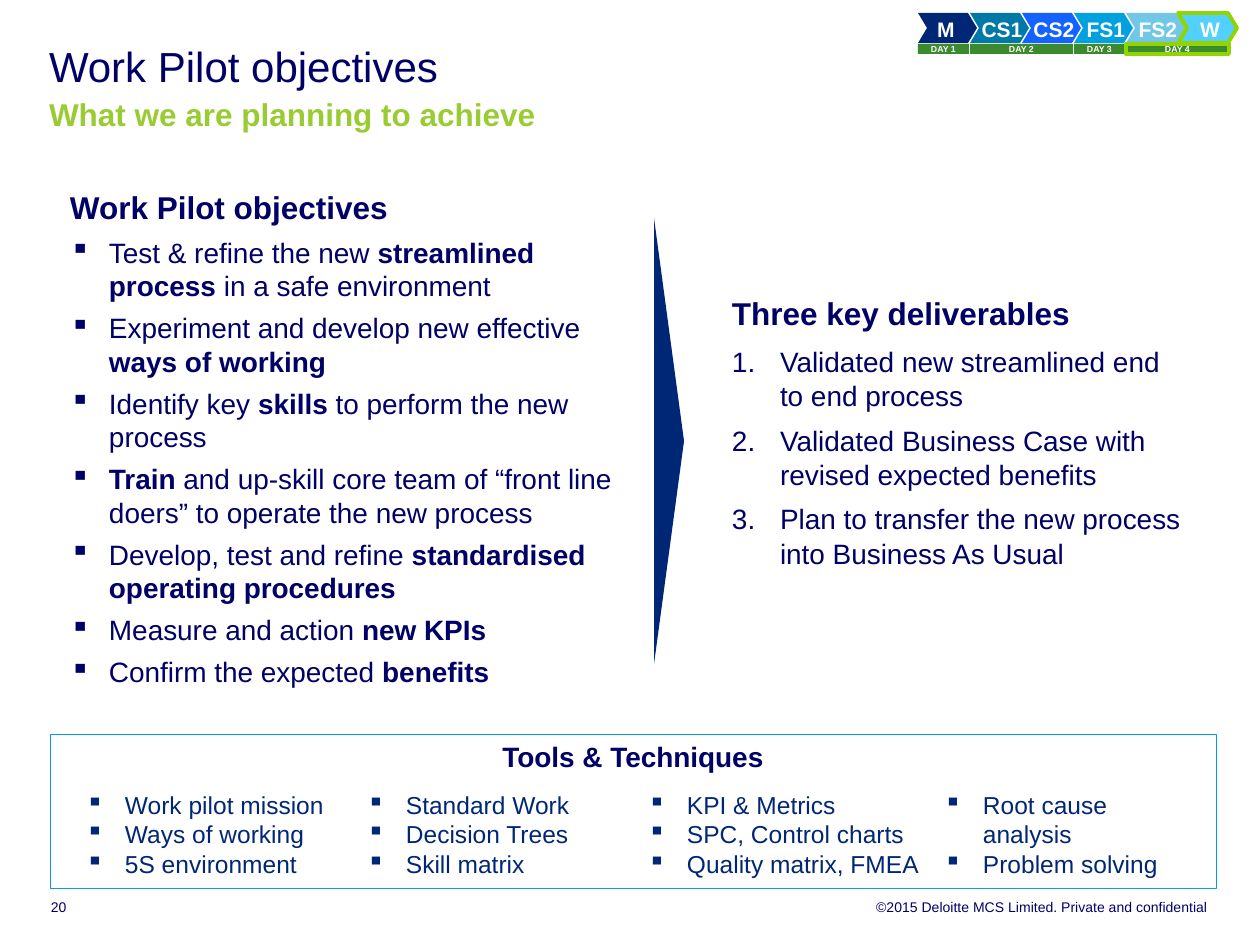
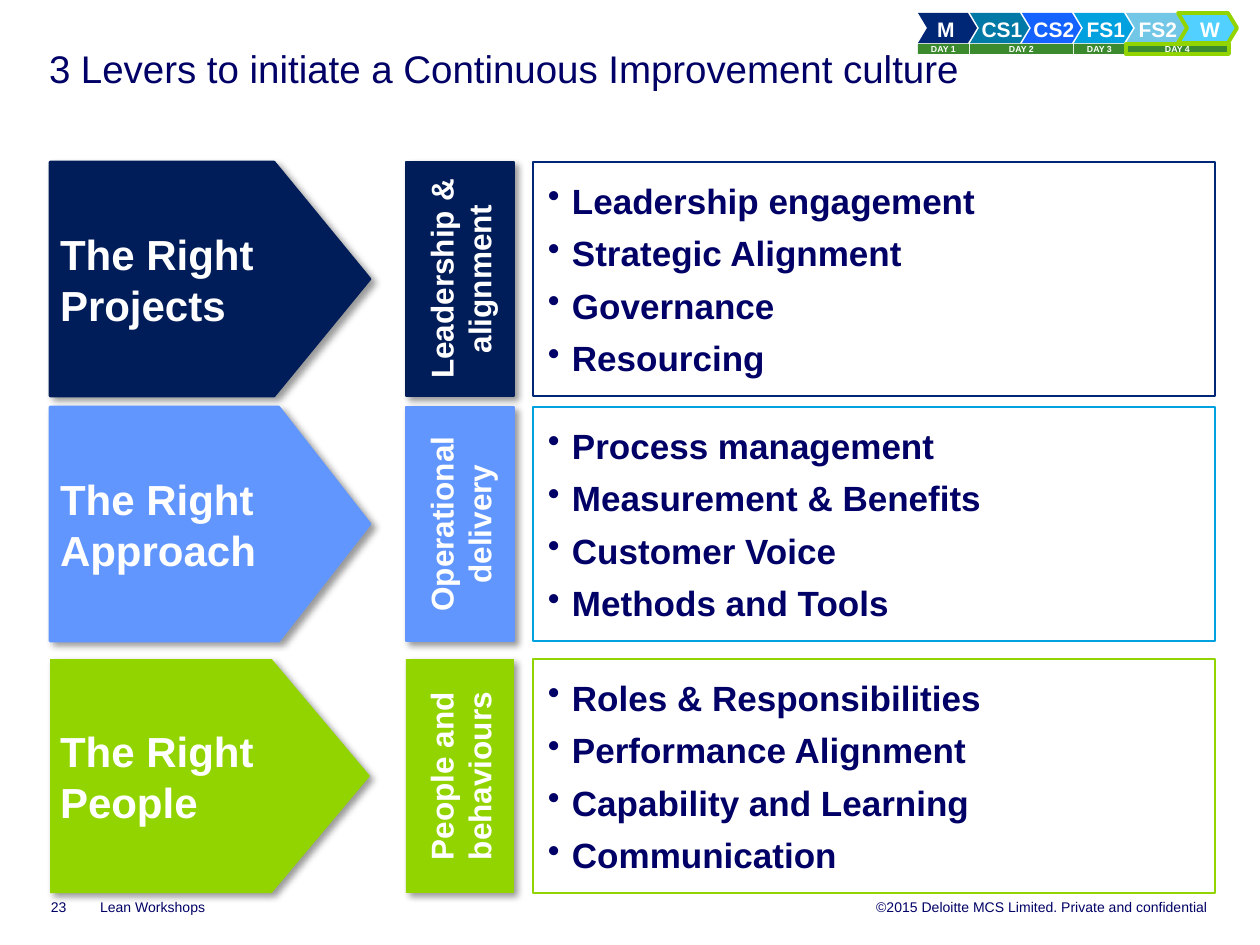
from dataclasses import dataclass

from lxml.etree import SubElement
from pptx import Presentation
from pptx.dml.color import RGBColor
from pptx.enum.shapes import MSO_SHAPE as Shape
from pptx.enum.text import MSO_ANCHOR as Anchor, MSO_AUTO_SIZE as AutoSize, PP_ALIGN as Align
from pptx.oxml.ns import qn
from pptx.util import Emu, Pt

PX_PER_INCH = 126
TITLE_ONLY = 5


@dataclass(frozen=True)
class Theme:
    font: str = "Arial"
    text: str = "000066"
    navy: str = "002776"
    deep_navy: str = "001D59"
    teal: str = "0079A6"
    royal: str = "1462FF"
    cyan: str = "00A1DE"
    pale_blue: str = "72C7E7"
    sky: str = "52D0FF"
    periwinkle: str = "6296FF"
    lime: str = "92D400"
    subtitle: str = "99CC33"
    green: str = "3C8A2E"
    white: str = "FFFFFF"
    title_size: int = 24
    long_title_size: int = 22
    heading_size: int = 18
    body_size: int = 16
    tool_size: int = 14
    lever_size: int = 20
    step_size: int = 12
    footer_size: int = 8
    day_size: int = 5


THEME = Theme()


def px(length):
    return Emu(round(length * 914400 / PX_PER_INCH))


def rgb(colour):
    return RGBColor.from_string(colour)


def add_span(para, text, size, colour, bold=False):
    span = para.add_run()
    span.text = text
    font = span.font
    font.name, font.size, font.bold = THEME.font, Pt(size), bold
    font.color.rgb = rgb(colour)


def set_bullet(para, bullet, indent):
    """Give a hanging bullet; "1." asks for automatic numbers."""
    props = para._p.get_or_add_pPr()
    props.set("marL", str(px(indent)))
    props.set("indent", str(-px(indent)))
    if bullet == "1.":
        SubElement(props, qn("a:buAutoNum"), type="arabicPeriod")
    else:
        SubElement(props, qn("a:buChar"), char=bullet)


def set_frame(frame, insets=(13, 6, 13, 6), anchor=Anchor.TOP, wrap=True):
    frame.word_wrap = wrap
    frame.auto_size = AutoSize.NONE
    frame.vertical_anchor = anchor
    (frame.margin_left, frame.margin_top,
     frame.margin_right, frame.margin_bottom) = map(px, insets)


def write(frame, lines, size, colour=THEME.text, bold=False, align=Align.LEFT,
          bullet=None, indent=0, before=0, after=0, spacing=None):
    """Add one paragraph per line; parts between asterisks turn bold."""
    for line in lines:
        is_first = not frame.paragraphs[0].runs
        para = frame.paragraphs[0] if is_first else frame.add_paragraph()
        para.alignment = align
        para.space_before = Pt(0 if is_first else before)
        para.space_after = Pt(after)
        if spacing:
            para.line_spacing = spacing
        if bullet:
            set_bullet(para, bullet, indent)
        for index, part in enumerate(line.split("*")):
            if part:
                add_span(para, part, size, colour, bold or index % 2 == 1)


def add_box(page, area, kind=Shape.RECTANGLE, fill=None, line=None, width=1, adjust=None):
    box = page.shapes.add_shape(kind, *map(px, area))
    box.shadow.inherit = False
    if adjust is not None:
        box.adjustments[0] = adjust
    if fill:
        box.fill.solid()
        box.fill.fore_color.rgb = rgb(fill)
    else:
        box.fill.background()
    if line:
        box.line.color.rgb = rgb(line)
        box.line.width = Pt(width)
    else:
        box.line.fill.background()
    return box


def add_label(page, area, insets=(0, 0, 0, 0), anchor=Anchor.TOP):
    frame = page.shapes.add_textbox(*map(px, area)).text_frame
    set_frame(frame, insets, anchor)
    return frame


def cast_shadow(box):
    effects = box._element.spPr.find(qn("a:effectLst"))
    shadow = SubElement(effects, qn("a:outerShdw"), blurRad=str(Pt(4)), dist=str(Pt(3)),
                        dir="2700000", algn="tl", rotWithShape="0")
    colour = SubElement(shadow, qn("a:srgbClr"), val="000000")
    SubElement(colour, qn("a:alpha"), val="40000")


def add_day_tracker(page, left, top):
    """Draw the workshop steps and, below them, the days they fill."""
    pitch, height = 52, 30
    steps = [("M", THEME.navy), ("CS1", THEME.teal), ("CS2", THEME.royal),
             ("FS1", THEME.cyan), ("FS2", THEME.pale_blue), ("W", THEME.sky)]
    for index, (name, fill) in enumerate(steps):
        is_first, is_current = index == 0, index == len(steps) - 1
        step = add_box(page, (left + index * pitch, top, 59, height), Shape.CHEVRON, fill,
                       THEME.lime if is_current else None, 2.25, 0.3)
        set_frame(step.text_frame, (10, 8, 0, 8) if is_first else (25, 8, 20, 8),
                  Anchor.MIDDLE, wrap=False)
        write(step.text_frame, [name], THEME.step_size, THEME.white, True,
              Align.LEFT if is_first else Align.CENTER, spacing=1.1)

    start, day_spans = left, [1, 2, 1, 2]
    for number, span in enumerate(day_spans, 1):
        day = add_box(page, (start, top + height + 1, span * pitch - 1, 10), fill=THEME.green,
                      line=THEME.lime if number == len(day_spans) else None, width=2.25)
        set_frame(day.text_frame, (5, 0, 5, 0))
        write(day.text_frame, [f"DAY {number}"], THEME.day_size, THEME.white, True, Align.CENTER)
        start += span * pitch


def add_footer(page, number, section=None):
    top, height = 898, 17
    write(add_label(page, (428, top, 780, height)),
          ["©2015 Deloitte MCS Limited. Private and confidential"],
          THEME.footer_size, align=Align.RIGHT)
    for left, width, text in [(51, 40, number), (100, 722, section)]:
        if text:
            write(add_label(page, (left, top, width, height), anchor=Anchor.BOTTOM),
                  [text], THEME.footer_size)


def add_page(deck, title, size, number, subtitle=None, section=None):
    page = deck.slides.add_slide(deck.slide_layouts[TITLE_ONLY])
    add_day_tracker(page, 918, 13)
    holder = page.shapes.title
    holder.left, holder.top, holder.width, holder.height = map(px, (49, 49, 1157, 86))
    set_frame(holder.text_frame, (0, 0, 0, 0))
    write(holder.text_frame, [title], size, spacing=Pt(24))
    if subtitle:
        para = holder.text_frame.paragraphs[0]
        para.add_line_break()
        add_span(para, subtitle, THEME.heading_size, THEME.subtitle, True)
    add_footer(page, number, section)
    return page


def add_objectives(page, area):
    frame = add_box(page, area, fill=THEME.white).text_frame
    set_frame(frame, (20, 10, 10, 10))
    write(frame, ["Work Pilot objectives"], THEME.heading_size, bold=True, after=5.4)
    write(frame, [
        "Test & refine the new *streamlined process *in a safe environment",
        "Experiment and develop new effective *ways of working*",
        "Identify key *skills* to perform the new process",
        "*Train* and up-skill core team of “front line doers” to operate the new process",
        "Develop, test and refine *standardised operating procedures*",
        "Measure and action *new KPIs*",
        "Confirm the expected *benefits*",
    ], THEME.body_size, bullet="▪", indent=39, after=4.8)


def add_deliverables(page, area):
    frame = add_box(page, area, fill=THEME.white).text_frame
    set_frame(frame, (10, 10, 10, 38), Anchor.MIDDLE)
    write(frame, ["Three key deliverables"], THEME.heading_size, bold=True,
          after=6.7, spacing=1.02)
    write(frame, [
        "Validated new streamlined end to end process",
        "Validated Business Case with revised expected benefits",
        "Plan to transfer the new process into Business As Usual",
    ], THEME.body_size, bullet="1.", indent=48, after=5.9, spacing=1.02)


def add_tools(page, area):
    left, top = area[:2]
    frame = add_box(page, area, fill=THEME.white, line=THEME.cyan, width=0.25).text_frame
    set_frame(frame, wrap=False)
    write(frame, ["Tools & Techniques"], THEME.body_size, bold=True, align=Align.CENTER)
    columns = [
        (23, 277, ["Work pilot mission", "Ways of working", "5S environment"]),
        (304, 277, ["Standard Work", "Decision Trees", "Skill matrix"]),
        (585, 300, ["KPI & Metrics", "SPC, Control charts", "Quality matrix, FMEA"]),
        (881, 277, ["Root cause analysis", "Problem solving"]),
    ]
    for offset, width, tools in columns:
        column = add_label(page, (left + offset, top + 50, width, 102), (13, 6, 13, 6))
        write(column, tools, THEME.tool_size, THEME.navy, bullet="▪", indent=39)


def add_objectives_page(deck):
    page = add_page(deck, "Work Pilot objectives", THEME.title_size, "20",
                    subtitle="What we are planning to achieve")
    add_objectives(page, (50, 178, 601, 528))
    add_deliverables(page, (722, 179, 476, 533))
    pointer = add_box(page, (446, 426, 446, 30), Shape.ISOSCELES_TRIANGLE, THEME.navy)
    pointer.rotation = 90
    add_tools(page, (50, 734, 1166, 154))


def add_lever(page, area, name, theme_name, points, fill, outline, tip):
    """Draw one row: lever arrow, upright theme and its bullet list."""
    left, top, width, height = area
    border = None if fill == outline else fill

    arrow = add_box(page, (left, top, 320, height), Shape.PENTAGON, fill, border, 1.5, tip)
    band = add_box(page, (left + 356, top, 108, height), fill=fill, line=border, width=1.5)
    for box, text, size, align in [(arrow, name, THEME.title_size, Align.LEFT),
                                   (band, theme_name, THEME.heading_size, Align.CENTER)]:
        cast_shadow(box)
        set_frame(box.text_frame, (10, 10, 10, 10), Anchor.MIDDLE)
        write(box.text_frame, [text], size, THEME.white, True, align)
    band.text_frame._txBody.bodyPr.set("vert", "vert270")

    frame = add_box(page, (left + 483, top, width - 483, height), line=outline).text_frame
    set_frame(frame, (15, 15, 15, 15), Anchor.MIDDLE)
    write(frame, points, THEME.lever_size, bold=True, bullet="•", indent=24, before=6)


def add_levers_page(deck):
    page = add_page(deck, "3 Levers to initiate a Continuous Improvement culture",
                    THEME.long_title_size, "23", section="Lean Workshops")
    levers = [
        (162, "The Right Projects", "Leadership & alignment",
         ["Leadership engagement", "Strategic Alignment", "Governance", "Resourcing"],
         THEME.deep_navy, THEME.navy, 0.41),
        (407, "The Right Approach", "Operational delivery",
         ["Process management", "Measurement & Benefits", "Customer Voice",
          "Methods and Tools"],
         THEME.periwinkle, THEME.cyan, 0.39),
        (659, "The Right People", "People and behaviours",
         ["Roles & Responsibilities", "Performance Alignment", "Capability and Learning",
          "Communication"],
         THEME.lime, THEME.lime, 0.42),
    ]
    for top, *lever in levers:
        add_lever(page, (50, top, 1165, 234), *lever)


def main():
    deck = Presentation()
    deck.slide_width, deck.slide_height = px(1260), px(945)
    add_objectives_page(deck)
    add_levers_page(deck)
    deck.save("out.pptx")


if __name__ == "__main__":
    main()
